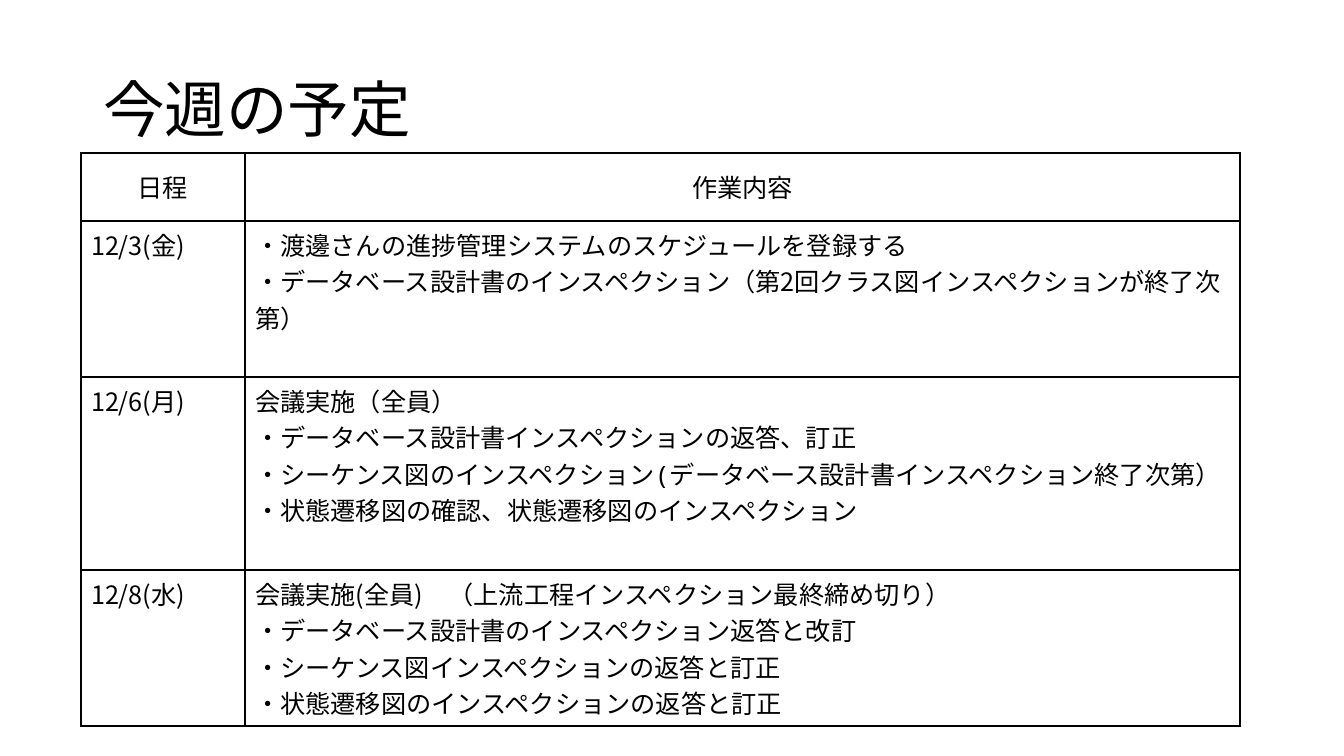
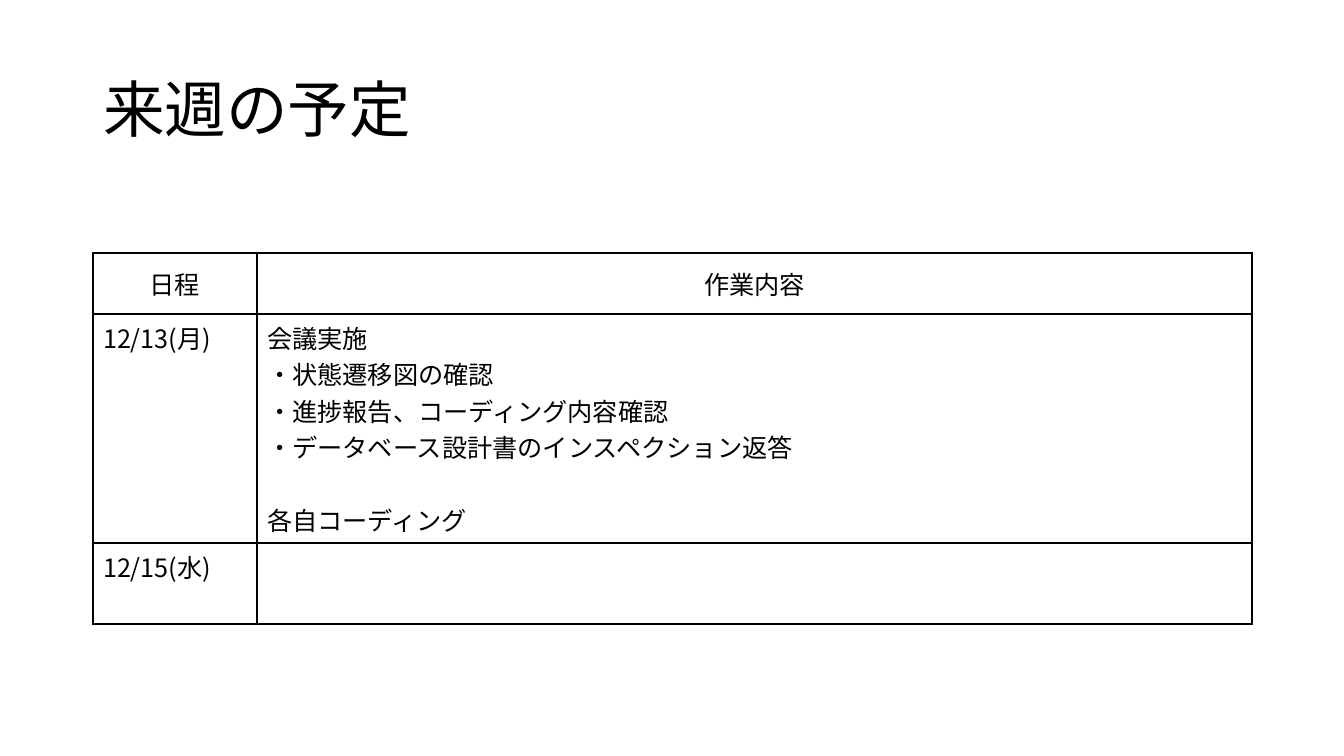
from dataclasses import dataclass

from lxml import etree
from pptx import Presentation
from pptx.dml.color import RGBColor
from pptx.enum.lang import MSO_LANGUAGE_ID
from pptx.enum.text import MSO_ANCHOR, PP_ALIGN
from pptx.oxml.ns import qn
from pptx.slide import Slide
from pptx.table import _Cell
from pptx.text.text import _Paragraph
from pptx.util import Emu, Pt

CENTER, LEFT = PP_ALIGN.CENTER, PP_ALIGN.LEFT
MIDDLE, TOP = MSO_ANCHOR.MIDDLE, MSO_ANCHOR.TOP
JAPANESE = MSO_LANGUAGE_ID.JAPANESE
BLACK = RGBColor(0x00, 0x00, 0x00)
SANS = "Noto Sans CJK JP"
MONO = "Noto Sans Mono"
EMU_PER_PIXEL = 914400 / 100.8
SLIDE_SIZE = (1344, 756)
TITLE_BOX = (93, 40, 1159, 146)
TITLE_SIZE = 44
BODY_SIZE = 18
COLUMN_WIDTHS = (164, 995)
HEADINGS = ("日程", "作業内容")
TITLE_ONLY_LAYOUT = 5


@dataclass(frozen=True)
class TextRun:
    """A stretch of text in one font."""

    text: str
    font: str = SANS


@dataclass(frozen=True)
class Line:
    """A paragraph and the space above it in points."""

    runs: tuple[TextRun, ...]
    space_before: float = 0


@dataclass(frozen=True)
class Day:
    """A dated table row."""

    date: str
    tasks: tuple[Line, ...]
    height: int


@dataclass(frozen=True)
class Schedule:
    """One slide with its title and table of days."""

    title: str
    left: int
    top: int
    heading_height: int
    days: tuple[Day, ...]


def pixels(value: float) -> Emu:
    """Convert pixels to EMU."""
    return Emu(round(value * EMU_PER_PIXEL))


def lines(*texts: str) -> tuple[Line, ...]:
    """Make one plain line from each text."""
    return tuple(Line((TextRun(text),)) for text in texts)


SCHEDULES = (
    Schedule("今週の予定", 81, 153, 68, (
        Day("12/3(金)", lines(
            "・渡邊さんの進捗管理システムのスケジュールを登録する",
            "・データベース設計書のインスペクション（第2回クラス図インスペクションが終了次第）",
        ), 156),
        Day("12/6(月)", (
            *lines(
                "会議実施（全員）",
                "・データベース設計書インスペクションの返答、訂正",
            ),
            Line((
                TextRun("・"),
                TextRun("シーケンス図のインスペクション(データベース設計書インスペクション終了次第）", MONO),
            )),
            *lines("・状態遷移図の確認、状態遷移図のインスペクション"),
        ), 193),
        Day("12/8(水)", lines(
            "会議実施(全員)\u3000（上流工程インスペクション最終締め切り）",
            "・データベース設計書のインスペクション返答と改訂",
            "・シーケンス図インスペクションの返答と訂正",
            "・状態遷移図のインスペクションの返答と訂正",
        ), 156),
    )),
    Schedule("来週の予定", 93, 253, 61, (
        Day("12/13(月)", (
            *lines(
                "会議実施",
                "・状態遷移図の確認",
                "・進捗報告、コーディング内容確認",
                "・データベース設計書のインスペクション返答",
            ),
            Line((TextRun("各自コーディング"),), space_before=26),
        ), 229),
        Day("12/15(水)", (), 81),
    )),
)


def add_run(paragraph: _Paragraph, content: TextRun, size: float) -> None:
    """Add a black run with Latin and East Asian fonts."""
    run = paragraph.add_run()
    run.text = content.text
    font = run.font
    font.size = Pt(size)
    font.color.rgb = BLACK
    font.name = content.font
    font.language_id = JAPANESE
    latin = run._r.rPr.find(qn("a:latin"))
    east_asian = etree.Element(qn("a:ea"), typeface=SANS)
    latin.addnext(east_asian)


def add_title(slide: Slide, text: str) -> None:
    """Place and fill the title placeholder."""
    title = slide.shapes.title
    title.left, title.top, title.width, title.height = map(pixels, TITLE_BOX)
    frame = title.text_frame
    frame.vertical_anchor = MIDDLE
    paragraph = frame.paragraphs[0]
    paragraph.alignment = LEFT
    paragraph.line_spacing = 0.9
    add_run(paragraph, TextRun(text), TITLE_SIZE)


def add_borders(cell: _Cell) -> None:
    """Draw a thin black border on every side of a cell."""
    properties = cell._tc.get_or_add_tcPr()
    for index, side in enumerate(("lnL", "lnR", "lnT", "lnB")):
        border = etree.Element(qn(f"a:{side}"), w=str(Pt(1)))
        fill = etree.SubElement(border, qn("a:solidFill"))
        etree.SubElement(fill, qn("a:srgbClr"), val=str(BLACK))
        properties.insert(index, border)


def fill_cell(cell: _Cell, content: tuple[Line, ...], heading: bool) -> None:
    """Write lines into an outlined cell without fill."""
    cell.fill.background()
    add_borders(cell)
    cell.vertical_anchor = MIDDLE if heading else TOP
    frame = cell.text_frame
    for index, line in enumerate(content):
        paragraph = frame.add_paragraph() if index else frame.paragraphs[0]
        paragraph.alignment = CENTER if heading else LEFT
        if line.space_before:
            paragraph.space_before = Pt(line.space_before)
        for run in line.runs:
            add_run(paragraph, run, BODY_SIZE)


def add_schedule_table(slide: Slide, schedule: Schedule) -> None:
    """Add the heading row and one row for each day."""
    heights = [schedule.heading_height, *(day.height for day in schedule.days)]
    rows = [
        tuple(lines(heading) for heading in HEADINGS),
        *((lines(day.date), day.tasks) for day in schedule.days),
    ]
    table = slide.shapes.add_table(
        len(rows), len(COLUMN_WIDTHS),
        pixels(schedule.left), pixels(schedule.top),
        pixels(sum(COLUMN_WIDTHS)), pixels(sum(heights)),
    ).table
    table.first_row = False
    table.horz_banding = False
    for column, width in zip(table.columns, COLUMN_WIDTHS):
        column.width = pixels(width)
    for row_index, (height, contents) in enumerate(zip(heights, rows)):
        table.rows[row_index].height = pixels(height)
        for column_index, content in enumerate(contents):
            fill_cell(table.cell(row_index, column_index), content, row_index == 0)


def main() -> None:
    """Build and save the weekly schedules."""
    presentation = Presentation()
    presentation.slide_width, presentation.slide_height = map(pixels, SLIDE_SIZE)
    layout = presentation.slide_layouts[TITLE_ONLY_LAYOUT]
    for schedule in SCHEDULES:
        slide = presentation.slides.add_slide(layout)
        add_title(slide, schedule.title)
        add_schedule_table(slide, schedule)
    presentation.save("out.pptx")


main()
